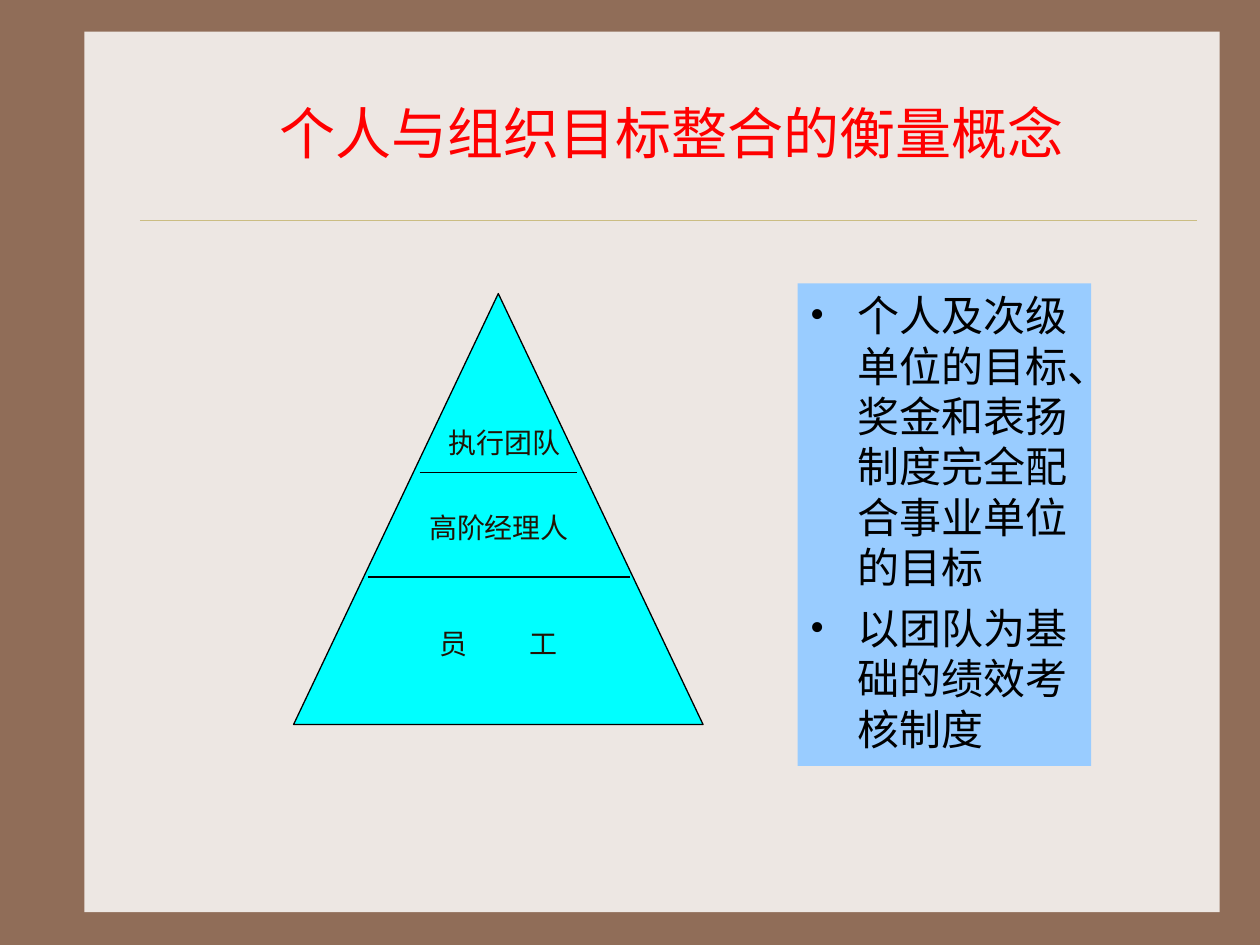
from lxml import etree
from pptx import Presentation
from pptx.dml.color import RGBColor
from pptx.enum.shapes import MSO_CONNECTOR, MSO_SHAPE
from pptx.enum.text import MSO_ANCHOR, PP_ALIGN
from pptx.oxml.ns import qn
from pptx.util import Inches, Pt

LINE = MSO_CONNECTOR.STRAIGHT
RECT, PEAK = MSO_SHAPE.RECTANGLE, MSO_SHAPE.ISOSCELES_TRIANGLE
MID, TOP = MSO_ANCHOR.MIDDLE, MSO_ANCHOR.TOP
LEFT, CENTER = PP_ALIGN.LEFT, PP_ALIGN.CENTER
FONT = "Times New Roman"
HUES = {"frame": "906D58", "page": "EDE7E3", "rule": "CBBD83", "title": "FF0000",
        "panel": "99CCFF", "peak": "00FFFF", "ink": "000000", "label": "221304"}

TITLE = "个人与组织目标整合的衡量概念"
POINTS = ["个人及次级单位的目标、奖金和表扬制度完全配合事业单位的目标",
          "以团队为基础的绩效考核制度"]
# text, left, top, width, tab stop (None: centred)
LEVELS = [("执行团队", 3.42, 3.33, 1.17, None),
          ("高阶经理人", 3.17, 4, 1.58, None),
          ("员\t工", 3.25, 4.92, 1.42, 0.71)]
# x1, x2, y, colour, weight
RULES = [(1.11, 9.5, 1.75, "rule", 0.25),
         (3.33, 4.58, 3.75, "ink", 0.75),
         (2.92, 5, 4.58, "ink", 0.75)]


def hue(name):
    return RGBColor.from_string(HUES[name])


def place(slide, kind, box, fill, line=None):
    shape = slide.shapes.add_shape(kind, *map(Inches, box))
    shape.shadow.inherit = False
    shape.fill.solid()
    shape.fill.fore_color.rgb = hue(fill)
    if line:
        shape.line.color.rgb = hue(line)
        shape.line.width = Pt(0.75)
    else:
        shape.line.fill.background()
    return shape


def rule(slide, x1, x2, y, color, weight):
    line = slide.shapes.add_connector(LINE, Inches(x1), Inches(y), Inches(x2), Inches(y))
    line.line.color.rgb = hue(color)
    line.line.width = Pt(weight)
    etree.SubElement(line._element.spPr, qn("a:effectLst"))


def write(para, text, size, color, align):
    para.alignment = align
    run = para.add_run()
    run.text = text
    run.font.size = Pt(size)
    run.font.name = FONT
    run.font.color.rgb = hue(color)


def bullet(para):
    props = para._p.get_or_add_pPr()
    props.set("marL", str(Inches(0.38)))
    props.set("indent", str(-Inches(0.38)))
    etree.SubElement(props, qn("a:buFont"), typeface=FONT)
    etree.SubElement(props, qn("a:buChar"), char="•")


def label(slide, text, left, top, width, stop):
    box = slide.shapes.add_textbox(*map(Inches, (left, top, width, 0.37)))
    frame = box.text_frame
    frame.word_wrap = True
    para = frame.paragraphs[0]
    if stop:
        frame.margin_left = Inches(0.24)
        tabs = etree.SubElement(para._p.get_or_add_pPr(), qn("a:tabLst"))
        etree.SubElement(tabs, qn("a:tab"), pos=str(Inches(stop)), algn="l")
    write(para, text, 16, "label", LEFT if stop else CENTER)


def main():
    deck = Presentation()
    deck.slide_width, deck.slide_height = Inches(10), Inches(7.5)
    slide = deck.slides.add_slide(deck.slide_layouts[5])
    slide.background.fill.solid()
    slide.background.fill.fore_color.rgb = hue("frame")

    page = place(slide, RECT, (0.67, 0.25, 9.01, 6.99), "page")
    title = slide.shapes.title
    page._element.addnext(title._element)
    title.left, title.top, title.width, title.height = map(Inches, (1.17, 0.42, 8.33, 1.25))
    title.text_frame.vertical_anchor = MID
    write(title.text_frame.paragraphs[0], TITLE, 32, "title", CENTER)

    panel = place(slide, RECT, (6.33, 2.25, 2.33, 3.83), "panel")
    frame = panel.text_frame
    frame.word_wrap = True
    frame.vertical_anchor = TOP
    for i, text in enumerate(POINTS):
        para = frame.add_paragraph() if i else frame.paragraphs[0]
        bullet(para)
        if i:
            para.space_before = Pt(6)
        write(para, text, 24, "ink", LEFT)

    place(slide, PEAK, (2.33, 2.33, 3.25, 3.42), "peak", "ink")
    for item in RULES:
        rule(slide, *item)
    for item in LEVELS:
        label(slide, *item)
    deck.save("out.pptx")


if __name__ == "__main__":
    main()
